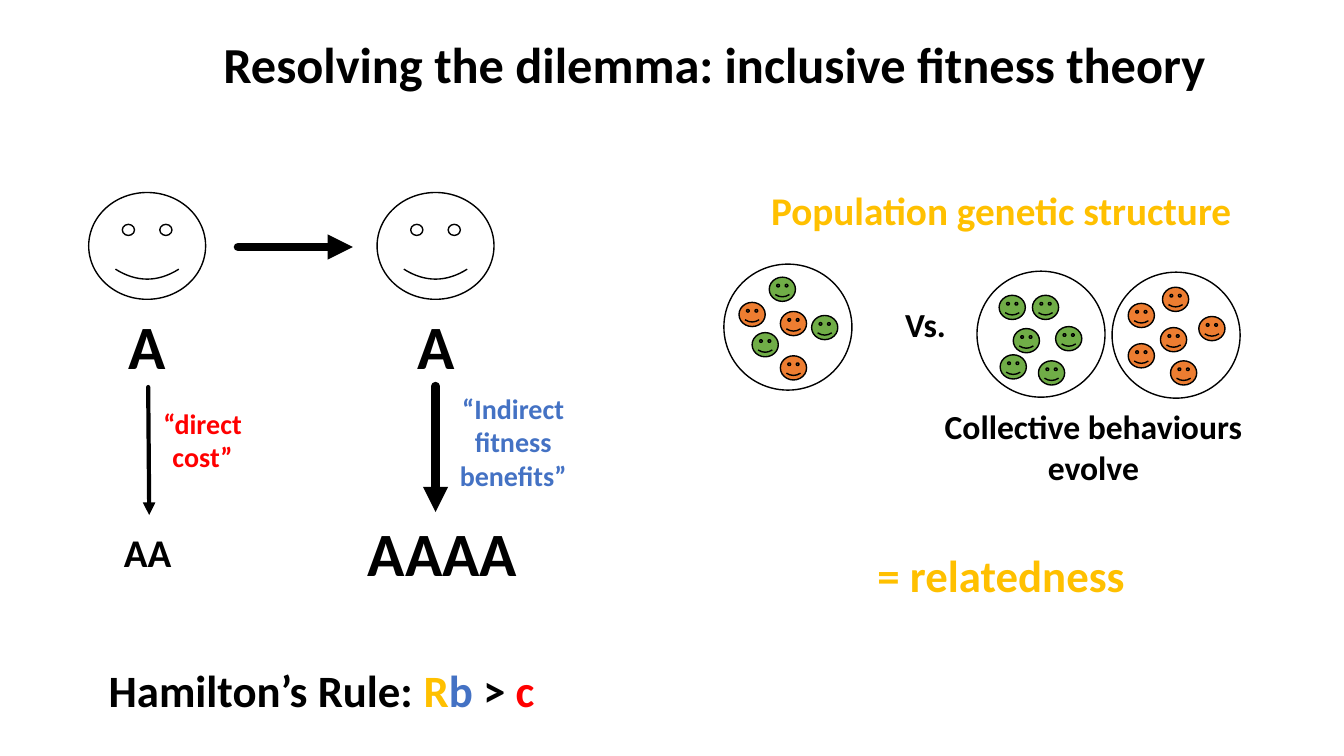
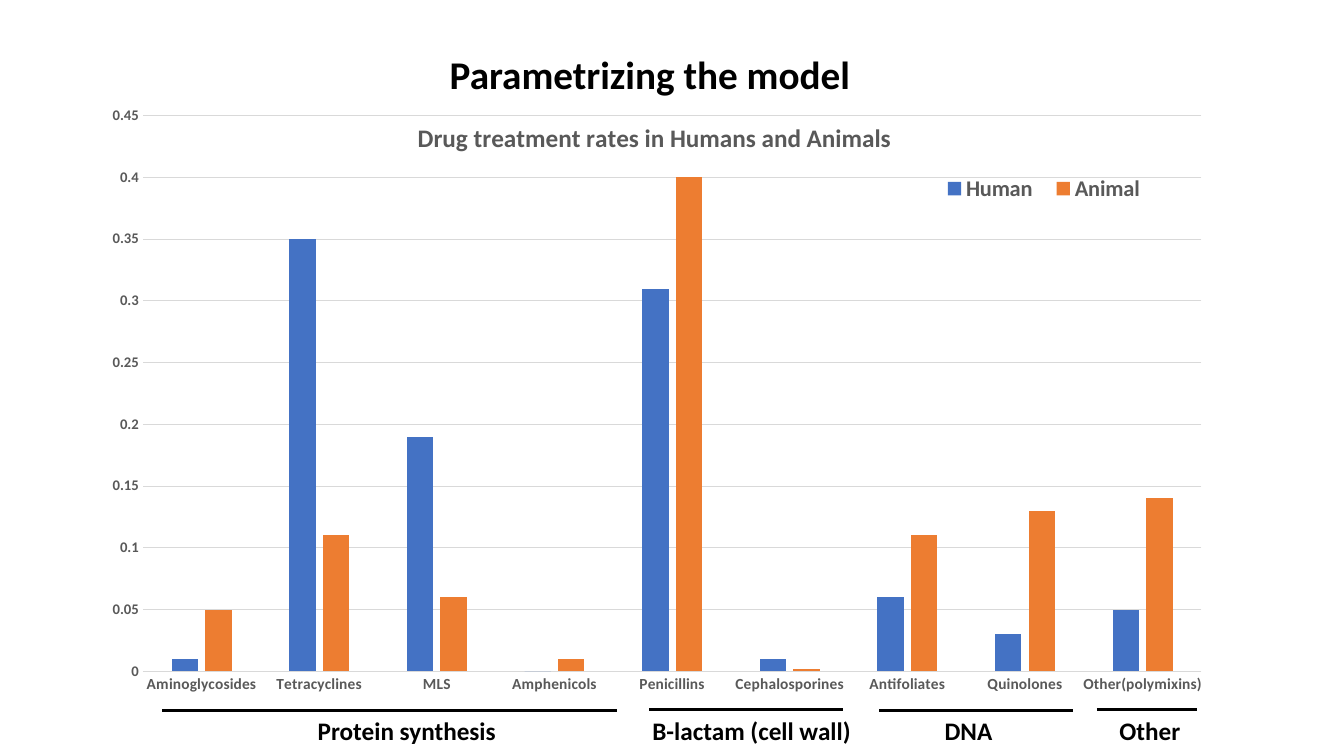
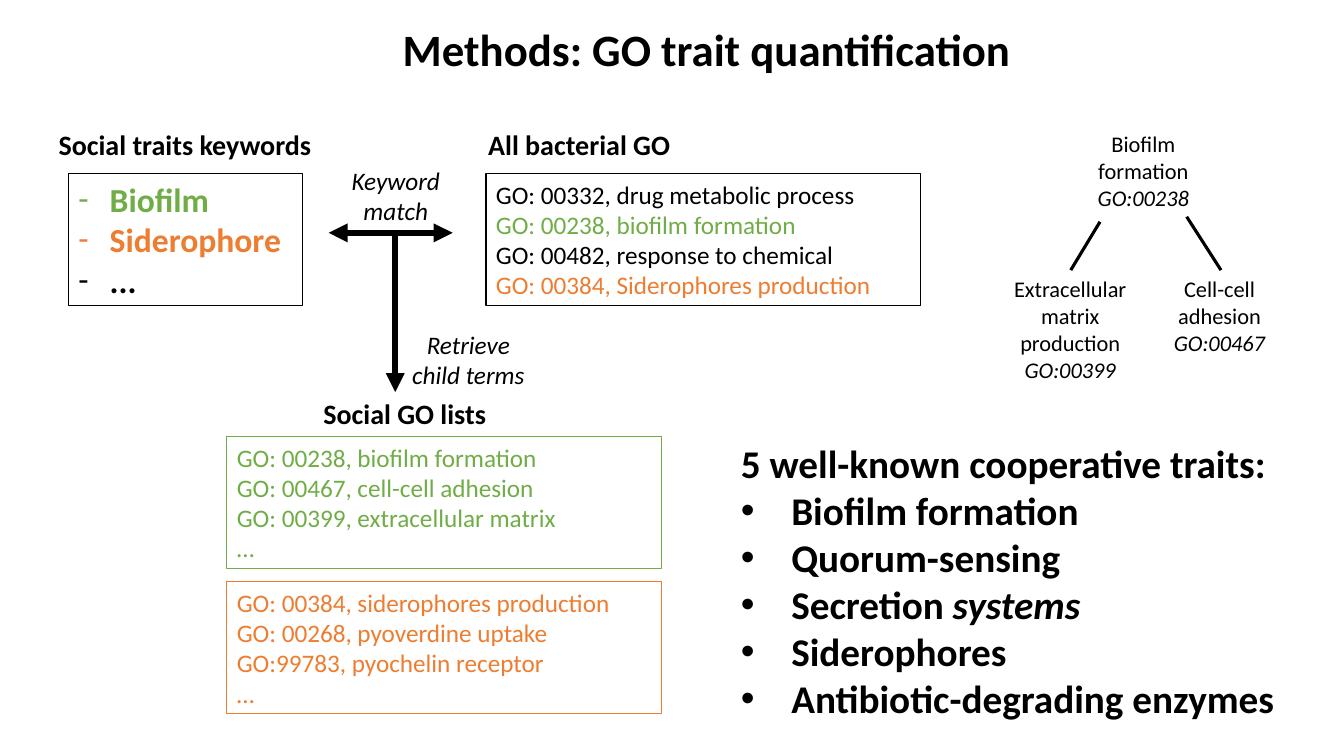
from lxml import etree
from pptx import Presentation
from pptx import util as u
from pptx.chart.data import CategoryChartData
from pptx.dml.color import RGBColor
from pptx.enum import chart as charts, shapes, text
from pptx.oxml.ns import qn

FONT = "Calibri"
BLACK, GREY, RULE = "000000", "595959", "D9D9D9"
GREEN, ORANGE, GOLD, BLUE, RED = "70AD47", "ED7D31", "FFC000", "4472C4", "FF0000"
SHAPE = shapes.MSO_SHAPE
CENTER = text.PP_ALIGN.CENTER

# Slide 1: text as (place, paragraphs, style)
FITNESS_TITLE = ((1.94, 0.28, 10.3, 0.71), "Resolving the dilemma: inclusive fitness theory", 36)
BOLD = dict(bold=True)
BOLD_CENTER = dict(bold=True, align=CENTER)
FITNESS_TEXTS = [
    ((1.18, 3.01, 0.81, 0.84), ["A"], dict(BOLD, size=44)),
    ((4.04, 3.01, 0.81, 0.84), ["A"], dict(BOLD, size=44)),
    ((1.13, 5.19, 0.81, 0.57), ["AA"], dict(BOLD, size=28)),
    ((3.55, 5.06, 1.8, 0.84), ["AAAA"], dict(BOLD, size=44)),
    ((1.31, 3.98, 1.4, 0.77), ["“direct cost”"], dict(BOLD_CENTER, size=20, color=RED)),
    ((4.39, 3.83, 1.4, 1.11), ["“Indirect fitness benefits”"],
     dict(BOLD_CENTER, size=20, color=BLUE)),
    ((7.28, 1.8, 5.3, 0.57), ["Population genetic structure"],
     dict(BOLD_CENTER, size=28, color=GOLD)),
    ((8.83, 2.97, 0.7, 0.5), ["Vs."], dict(BOLD_CENTER, size=24)),
    ((9.16, 3.98, 3.37, 0.91), ["Collective behaviours evolve"], dict(BOLD_CENTER, size=24)),
    ((6.95, 5.38, 5.96, 0.64), ["= relatedness"], dict(BOLD_CENTER, size=32, color=GOLD)),
    ((0.98, 6.53, 4.96, 0.64),
     [[("Hamilton’s Rule: ", {}), ("R", dict(color=GOLD)), ("b", dict(color=BLUE)),
       (" > ", {}), ("c", dict(color=RED))]], dict(BOLD, size=32)),
]
ACTORS = [(0.88, 1.91), (3.74, 1.91)]
FITNESS_ARROWS = [  # start, end, width
    ((2.36, 2.45), (3.5, 2.45), 6),
    ((4.32, 3.83), (4.32, 5.08), 6),
    ((1.47, 3.84), (1.48, 5.11), 3),
]
POPULATIONS = [  # circle corner, corners of its faces by colour
    ((7.18, 2.62), {GREEN: [(8.05, 3.13), (7.63, 2.75), (7.46, 3.3)],
                    ORANGE: [(7.33, 3), (7.74, 3.53), (7.74, 3.09)]}),
    ((9.69, 2.69), {GREEN: [(9.91, 2.93), (10.05, 3.26), (10.24, 2.93),
                            (10.47, 3.24), (10.3, 3.58), (9.92, 3.52)]}),
    ((11.03, 2.7), {ORANGE: [(11.19, 3.01), (11.53, 2.85), (11.51, 3.25),
                             (11.19, 3.41), (11.61, 3.58), (11.89, 3.14)]}),
]

# Slide 2
MODEL_TITLE = ((1.75, 0.45, 9.39, 0.57), "Parametrizing the model", 28)
CHART_TITLE = "Drug treatment rates in Humans and Animals"
DRUGS = ["Aminoglycosides", "Tetracyclines", "MLS", "Amphenicols", "Penicillins",
         "Cephalosporines", "Antifoliates", "Quinolones", "Other(polymixins)"]
RATES = [
    ("Human", BLUE, [0.01, 0.35, 0.19, 0, 0.31, 0.01, 0.06, 0.03, 0.05]),
    ("Animal", ORANGE, [0.05, 0.11, 0.06, 0.01, 0.4, 0.002, 0.11, 0.13, 0.14]),
]
DRUG_TARGETS = [  # label, label left, rule from, rule to, rule height
    ("Protein synthesis", 2.77, 1.61, 6.12, 7.05),
    ("B-lactam (cell wall)", 6.19, 6.44, 8.36, 7.04),
    ("DNA", 8.34, 8.72, 10.64, 7.05),
    ("Other", 10.14, 10.88, 11.87, 7.04),
]

# Slide 3
METHODS_TITLE = ((1.26, 0.17, 11.5, 0.64), "Methods: GO trait quantification", 32)
HEADINGS = [("Social traits keywords", 0.17, 1.22), ("All bacterial GO", 4.08, 1.22),
            ("Social GO lists", 2.35, 3.88)]
STEPS = [("Keyword match", 3.2, 1.59), ("Retrieve child terms", 3.92, 3.22)]
BOXES = [  # left, top, width, border, paragraphs, style
    (0.68, 1.72, 2.32, BLACK,
     [[("Biofilm", dict(color=GREEN))], [("Siderophore", dict(color=ORANGE))], "..."],
     dict(BOLD, size=24, bullet="-", indent=0.31)),
    (4.82, 1.72, 4.31, BLACK,
     ["GO: 00332, drug metabolic process",
      [("GO: 00238, biofilm formation", dict(color=GREEN))],
      "GO: 00482, response to chemical",
      [("GO: 00384, Siderophores production", dict(color=ORANGE))]], {}),
    (2.25, 4.33, 4.31, GREEN,
     ["GO: 00238, biofilm formation", "GO: 00467, cell-cell adhesion",
      "GO: 00399, extracellular matrix", "…"], dict(color=GREEN)),
    (2.25, 5.77, 4.31, ORANGE,
     ["GO: 00384, siderophores production", "GO: 00268, pyoverdine uptake",
      "GO:99783, pyochelin receptor", "…"], dict(color=ORANGE)),
]
TERM_TREE = [
    ((10.69, 1.24, 1.3, 0.94), "Biofilm formation", "GO:00238"),
    ((9.85, 2.68, 1.53, 1.21), "Extracellular matrix production", "GO:00399"),
    ((11.47, 2.68, 1.25, 0.94), "Cell-cell adhesion", "GO:00467"),
]
BRANCHES = [((10.62, 2.68), (10.91, 2.2)), ((12.11, 2.68), (11.77, 2.15))]
TRAITS_HEADING = "5 well-known cooperative traits:"
TRAITS = ["Biofilm formation", "Quorum-sensing",
          [("Secretion ", {}), ("systems", dict(italic=True))],
          "Siderophores", "Antibiotic-degrading enzymes"]


def rgb(value):
    return RGBColor.from_string(value)


def inches(values):
    return [u.Inches(value) for value in values]


def set_font(font, size, color=BLACK, bold=False, italic=False):
    values = dict(name=FONT, size=u.Pt(size), bold=bold, italic=italic)
    for name, value in values.items():
        setattr(font, name, value)
    font.color.rgb = rgb(color)


def add_bullet(paragraph, mark, indent):
    properties = paragraph._p.get_or_add_pPr()
    properties.set("marL", str(u.Inches(indent)))
    properties.set("indent", str(-u.Inches(indent)))
    etree.SubElement(properties, qn("a:buFont")).set("typeface", "Arial" if mark == "•" else FONT)
    etree.SubElement(properties, qn("a:buChar")).set("char", mark)


def write(frame, paragraphs, align=text.PP_ALIGN.LEFT, bullet=None, indent=0,
          plain_first=False, **style):
    """Each paragraph is a string or a list of (text, format changes)."""
    frame.word_wrap = True
    for index, content in enumerate(paragraphs):
        paragraph = frame.add_paragraph() if index else frame.paragraphs[0]
        paragraph.alignment = align
        if bullet and not (plain_first and index == 0):
            add_bullet(paragraph, bullet, indent)
        for words, changes in [(content, {})] if isinstance(content, str) else content:
            run = paragraph.add_run()
            run.text = words
            set_font(run.font, **{**style, **changes})


def add_text(slide, place, paragraphs, **style):
    box = slide.shapes.add_textbox(*inches(place))
    write(box.text_frame, paragraphs, **style)


def add_title(slide, place, words, size):
    add_text(slide, place, [words], size=size, **BOLD_CENTER)


def add_shape(slide, kind, place, fill=None, line=BLACK, width=1):
    shape = slide.shapes.add_shape(kind, *inches(place))
    shape.shadow.inherit = False
    if fill:
        shape.fill.solid()
        shape.fill.fore_color.rgb = rgb(fill)
    else:
        shape.fill.background()
    shape.line.color.rgb = rgb(line)
    shape.line.width = u.Pt(width)
    return shape


def add_line(slide, start, end, width, arrows=(), cap="flat"):
    """arrows holds any of "headEnd" and "tailEnd", in that order."""
    connector = slide.shapes.add_connector(shapes.MSO_CONNECTOR.STRAIGHT, *inches(start + end))
    connector.line.color.rgb = rgb(BLACK)
    connector.line.width = u.Pt(width)
    outline = connector.line._get_or_add_ln()
    outline.set("cap", cap)
    for arrow in arrows:
        etree.SubElement(outline, qn("a:" + arrow)).set("type", "triangle")
    etree.SubElement(connector._element.spPr, qn("a:effectLst"))


def set_layout(element, index, inner=False, **fractions):
    """Place a chart part by fractions of the chart area."""
    for old in element.findall(qn("c:layout")):
        element.remove(old)
    layout = etree.Element(qn("c:layout"))
    element.insert(index, layout)
    manual = etree.SubElement(layout, qn("c:manualLayout"))
    values = dict(layoutTarget="inner") if inner else {}
    values.update(xMode="edge", yMode="edge", **fractions)
    for name, value in values.items():
        etree.SubElement(manual, qn("c:" + name)).set("val", str(value))


def add_rates_chart(slide):
    data = CategoryChartData()
    data.categories = DRUGS
    for name, _, values in RATES:
        data.add_series(name, values)
    frame = slide.shapes.add_chart(charts.XL_CHART_TYPE.COLUMN_CLUSTERED,
                                   *inches((0.97, 0.46, 11.17, 6.89)), data)
    chart = frame.chart
    set_font(chart.font, 10)

    # Title and legend lie over the plot
    chart.has_title = True
    write(chart.chart_title.text_frame, [CHART_TITLE], size=18, color=GREY, **BOLD_CENTER)
    chart.chart_title.include_in_layout = True
    set_layout(chart.chart_title._element, 1, x=0.28, y=0.1)
    chart.has_legend = True
    legend = chart.legend
    legend.position = charts.XL_LEGEND_POSITION.BOTTOM
    legend.include_in_layout = True
    set_font(legend.font, 16, GREY, bold=True)
    set_layout(legend._element, 1, x=0.74, y=0.17, w=0.2, h=0.07)
    set_layout(chart._chartSpace.chart.plotArea, 0, inner=True, x=0.04, y=0.1, w=0.94, h=0.8)

    # Bars
    plot = chart.plots[0]
    for name, value in dict(gap_width=219, overlap=-27, vary_by_categories=False).items():
        setattr(plot, name, value)
    for series, (_, color, _) in zip(plot.series, RATES):
        series.format.fill.solid()
        series.format.fill.fore_color.rgb = rgb(color)

    # Axes
    rates, drugs = chart.value_axis, chart.category_axis
    for axis, size in ((rates, 10.5), (drugs, 11)):
        axis.major_tick_mark = axis.minor_tick_mark = charts.XL_TICK_MARK.NONE
        set_font(axis.tick_labels.font, size, GREY, bold=True)
    for name, value in dict(minimum_scale=0, maximum_scale=0.45, major_unit=0.05).items():
        setattr(rates, name, value)
    rates.format.line.fill.background()
    for line in (drugs.format.line, rates.major_gridlines.format.line):
        line.color.rgb = rgb(RULE)
        line.width = u.Pt(0.75)


def build_fitness(slide):
    add_title(slide, *FITNESS_TITLE)
    for corner in ACTORS:
        add_shape(slide, SHAPE.SMILEY_FACE, corner + (1.16, 1.06))
    for start, end, width in FITNESS_ARROWS:
        add_line(slide, start, end, width, ["tailEnd"], cap="rnd")
    for corner, members in POPULATIONS:
        add_shape(slide, SHAPE.OVAL, corner + (1.27, 1.25))
        for color, faces in members.items():
            for face in faces:
                add_shape(slide, SHAPE.SMILEY_FACE, face + (0.26, 0.24), fill=color)
    for place, paragraphs, style in FITNESS_TEXTS:
        add_text(slide, place, paragraphs, **style)


def build_model(slide):
    add_rates_chart(slide)
    for label, left, start, end, height in DRUG_TARGETS:
        add_text(slide, (left, 7.05, 2.53, 0.4), [label], size=18, **BOLD_CENTER)
        add_line(slide, (start, height), (end, height), 2.25)
    add_title(slide, *MODEL_TITLE)


def build_methods(slide):
    add_title(slide, *METHODS_TITLE)
    for words, left, top in HEADINGS:
        add_text(slide, (left, top, 3.33, 0.44), [words], size=20, **BOLD_CENTER)
    for left, top, width, border, paragraphs, style in BOXES:
        box = add_shape(slide, SHAPE.RECTANGLE, (left, top, width, 1.31), line=border, width=0.75)
        write(box.text_frame, paragraphs, **{"size": 18, **style})

    # Matching arrows
    add_line(slide, (3.26, 2.31), (4.49, 2.31), 4.5, ["headEnd", "tailEnd"])
    add_line(slide, (3.92, 2.33), (3.92, 3.89), 4.5, ["tailEnd"])
    for words, left, top in STEPS:
        add_text(slide, (left, top, 1.45, 0.71), [words], size=18, italic=True, align=CENTER)

    # Term tree
    for place, term, code in TERM_TREE:
        add_text(slide, place, [term, [(code, dict(italic=True))]], size=16, align=CENTER)
    for start, end in BRANCHES:
        add_line(slide, start, end, 2.25)

    add_text(slide, (7.25, 4.31, 5.51, 2.93), [TRAITS_HEADING] + TRAITS, size=28, bold=True,
             bullet="•", indent=0.5, plain_first=True)


def main():
    presentation = Presentation()
    presentation.slide_width, presentation.slide_height = inches((13.33, 7.5))
    for build in (build_fitness, build_model, build_methods):
        build(presentation.slides.add_slide(presentation.slide_layouts[6]))
    presentation.save("out.pptx")


if __name__ == "__main__":
    main()
